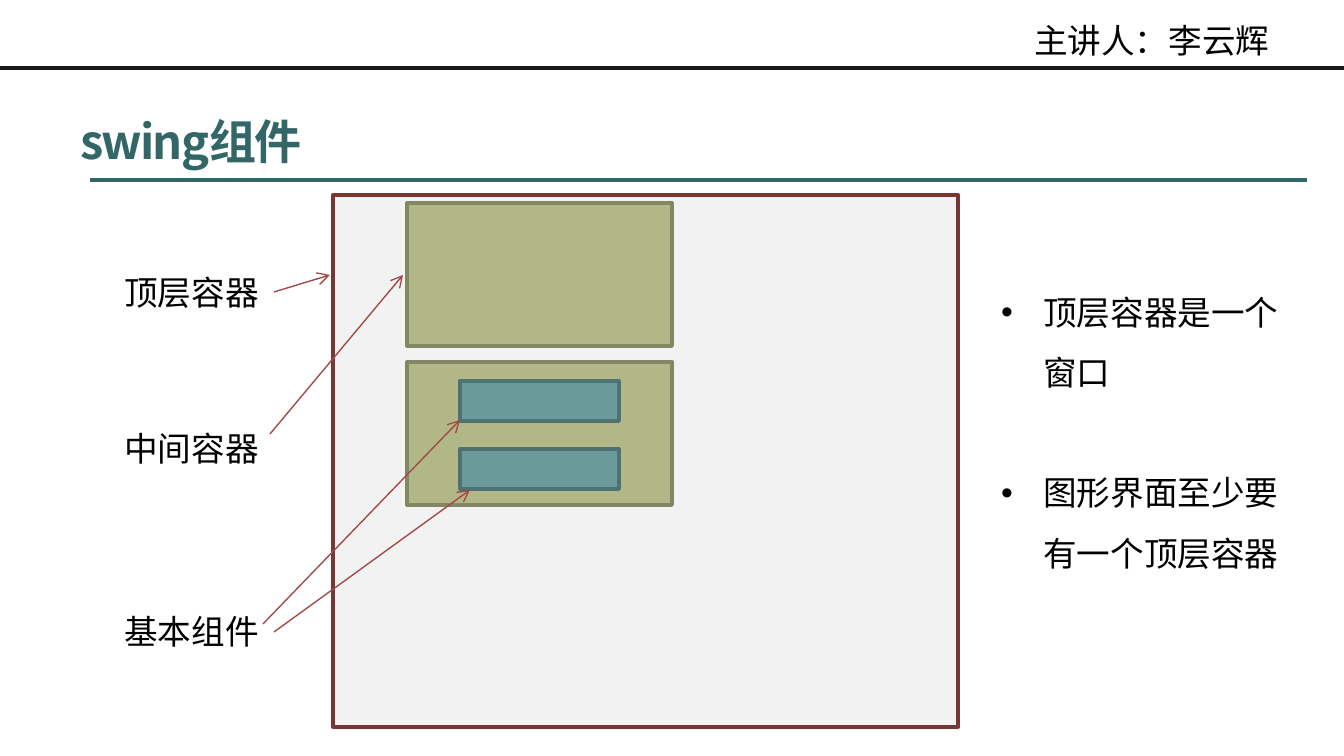
import pptx
import pptx.util
import pptx.dml.color
import pptx.enum.shapes
import pptx.enum.text
import pptx.oxml.ns
import lxml.etree

RGB = pptx.dml.color.RGBColor
BLACK = RGB(0x00, 0x00, 0x00)
RULE = RGB(0x1A, 0x1A, 0x1A)
TEAL = RGB(0x33, 0x66, 0x66)
RED = RGB(0xA2, 0x4A, 0x48)
GREY, MAROON = RGB(0xF2, 0xF2, 0xF2), RGB(0x78, 0x37, 0x35)
OLIVE, MOSS = RGB(0xB2, 0xB7, 0x87), RGB(0x84, 0x87, 0x64)
AQUA, SLATE = RGB(0x6A, 0x9A, 0x9A), RGB(0x4E, 0x72, 0x72)
CJK = "Noto Sans CJK JP"
PX = 914400 / 134.4

qn = pptx.oxml.ns.qn
Pt = pptx.util.Pt
MSO = pptx.enum.text.MSO_AUTO_SIZE
ANCHOR = pptx.enum.text.MSO_ANCHOR

deck = pptx.Presentation()
deck.slide_width = round(1344 * PX)
deck.slide_height = round(756 * PX)
slide = deck.slides.add_slide(deck.slide_layouts[6])


def text(words, box, size=18, font="Arial", color=BLACK, bold=False,
         wrap=False, fit=MSO.SHAPE_TO_FIT_TEXT, anchor=ANCHOR.TOP,
         track=0, bullet=False, gap=0):
    shape = slide.shapes.add_textbox(*[round(v * PX) for v in box])
    frame = shape.text_frame
    frame.word_wrap = wrap
    frame.auto_size = fit
    frame.vertical_anchor = anchor
    frame.text = words
    for i, para in enumerate(frame.paragraphs):
        run = para.runs[0]
        run.font.size = Pt(size)
        run.font.name = font
        run.font.bold = bold
        run.font.color.rgb = color
        props = run._r.get_or_add_rPr()
        if font == CJK:
            lxml.etree.SubElement(props, qn("a:ea")).set("typeface", font)
        if track:
            props.set("spc", str(track))
        if bullet:
            para.line_spacing = 1.5
            para.space_before = Pt(gap if i else 0)
            layout = para._p.get_or_add_pPr()
            layout.set("marL", str(round(42 * PX)))
            layout.set("indent", str(round(-42 * PX)))
            lxml.etree.SubElement(layout, qn("a:buFont")).set("typeface", "Arial")
            lxml.etree.SubElement(layout, qn("a:buChar")).set("char", "•")


def line(ends, color, width, arrow=False):
    link = slide.shapes.add_connector(
        pptx.enum.shapes.MSO_CONNECTOR.STRAIGHT, *[round(v * PX) for v in ends])
    link.line.color.rgb = color
    link.line.width = Pt(width)
    if arrow:
        stroke = link.line._get_or_add_ln()
        lxml.etree.SubElement(stroke, qn("a:tailEnd")).set("type", "arrow")
    lxml.etree.SubElement(link._element.spPr, qn("a:effectLst"))


# Header and title
text("主讲人：李云辉", (1021, 13, 265, 54), font=CJK)
line((0, 68, 1344, 68), RULE, 2.25)
text("swing组件", (67, 103, 1210, 75), size=25.2, font=CJK, color=TEAL,
     bold=True, wrap=True, fit=MSO.NONE, anchor=ANCHOR.MIDDLE, track=-100)
line((90, 180, 1307, 180), TEAL, 2)

# Window, panels and widgets
boxes = [((333, 195, 625, 532), GREY, MAROON)]
boxes += [((407, y, 265, 143), OLIVE, MOSS) for y in (203, 362)]
boxes += [((460, y, 159, 40), AQUA, SLATE) for y in (381, 449)]
for box, fill, edge in boxes:
    rect = slide.shapes.add_shape(
        pptx.enum.shapes.MSO_SHAPE.RECTANGLE, *[round(v * PX) for v in box])
    rect.shadow.inherit = False
    rect.fill.solid()
    rect.fill.fore_color.rgb = fill
    rect.line.color.rgb = edge
    rect.line.width = Pt(2.08)

# Labels and their arrows
for words, top in (("顶层容器", 265), ("中间容器", 421), ("基本组件", 604)):
    text(words, (111, top, 163, 54))
for ends in ((274, 292, 330, 275), (270, 434, 403, 275),
             (263, 624, 460, 420), (274, 632, 470, 490)):
    line(ends, RED, 0.75, arrow=True)

# Notes on the right
text("顶层容器是一个窗口\n图形界面至少要有一个顶层容器", (988, 265, 319, 318),
     wrap=True, bullet=True, gap=32)

deck.save("out.pptx")
